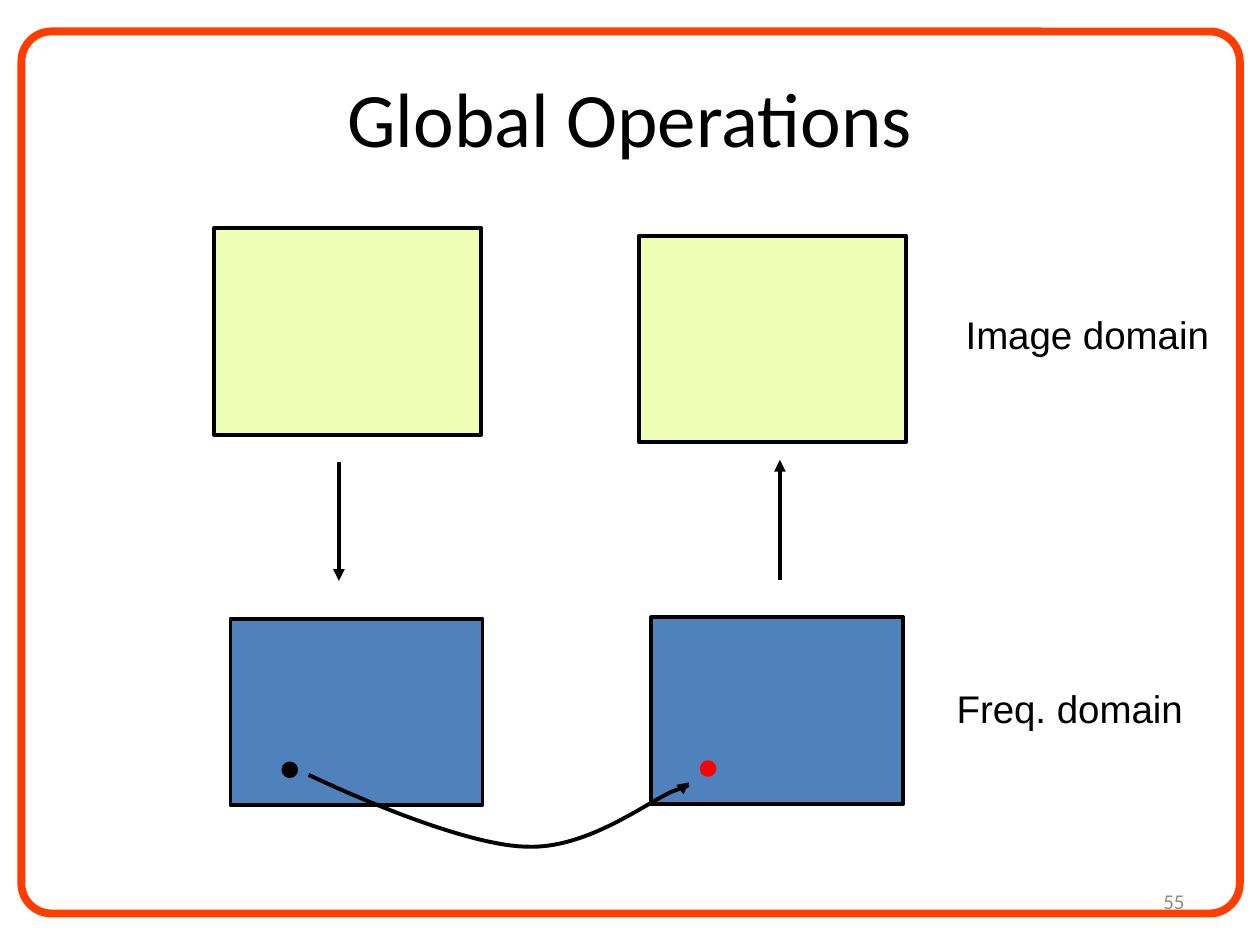
from dataclasses import dataclass

from lxml.etree import SubElement
from pptx import Presentation
from pptx.dml.color import RGBColor
from pptx.enum.shapes import MSO_CONNECTOR, MSO_SHAPE
from pptx.enum.text import MSO_ANCHOR, PP_ALIGN as Align
from pptx.oxml.ns import qn
from pptx.util import Inches, Pt


@dataclass(frozen=True)
class Theme:
    black: RGBColor = RGBColor(0, 0, 0)
    red: RGBColor = RGBColor(0xFF, 0, 0)
    gray: RGBColor = RGBColor(0x8C, 0x8C, 0x8C)
    frame: RGBColor = RGBColor(0xFF, 0x3D, 0x01)
    image: RGBColor = RGBColor(0xEF, 0xFD, 0xB5)
    frequency: RGBColor = RGBColor(0x4F, 0x81, 0xBD)
    title_size: Pt = Pt(44)
    label_size: Pt = Pt(22)
    number_size: Pt = Pt(12)
    line_width: Pt = Pt(2.25)
    frame_width: Pt = Pt(4.5)


theme = Theme()
presentation = Presentation()
presentation.slide_width = Inches(10)
presentation.slide_height = Inches(7.5)
slide = presentation.slides.add_slide(presentation.slide_layouts[6])


def add_box(kind, box, fill=None, line=theme.black, width=theme.line_width):
    shape = slide.shapes.add_shape(kind, *map(Inches, box))
    shape.shadow.inherit = False
    if fill is None:
        shape.fill.background()
    else:
        shape.fill.solid()
        shape.fill.fore_color.rgb = fill
    shape.line.color.rgb = line
    shape.line.width = width
    return shape


def style_arrow(arrow):
    arrow.line.color.rgb = theme.black
    arrow.line.width = theme.line_width
    SubElement(arrow.line._get_or_add_ln(), qn("a:tailEnd"), type="triangle")
    SubElement(arrow._element.spPr, qn("a:effectLst"))


# Frame
frame = add_box(MSO_SHAPE.ROUNDED_RECTANGLE, (0.17, 0.25, 9.67, 7),
                line=theme.frame, width=theme.frame_width)
frame.adjustments[0] = 0.034

# Title, slide number and domain labels
texts = [
    ("Global Operations", (0.5, 0.3, 9, 1.25), "Calibri", theme.title_size,
     theme.black, Align.CENTER, MSO_ANCHOR.MIDDLE, True),
    ("55", (7.17, 6.95, 2.33, 0.4), "Calibri", theme.number_size,
     theme.gray, Align.RIGHT, MSO_ANCHOR.MIDDLE, True),
    ("Image domain", (7.55, 2.42, 2.16, 0.47), "Arial", theme.label_size,
     theme.black, Align.CENTER, MSO_ANCHOR.TOP, False),
    ("Freq. domain", (7.48, 5.39, 2.02, 0.47), "Arial", theme.label_size,
     theme.black, Align.CENTER, MSO_ANCHOR.TOP, False),
]
for text, box, font_name, size, color, alignment, anchor, wrap in texts:
    text_frame = slide.shapes.add_textbox(*map(Inches, box)).text_frame
    text_frame.text = text
    text_frame.word_wrap = wrap
    text_frame.vertical_anchor = anchor
    paragraph = text_frame.paragraphs[0]
    paragraph.alignment = alignment
    font = paragraph.runs[0].font
    font.name, font.size, font.color.rgb = font_name, size, color

# Image and frequency rectangles
for left, top in [(1.7, 1.81), (5.07, 1.87)]:
    add_box(MSO_SHAPE.RECTANGLE, (left, top, 2.12, 1.64), theme.image)
for left, top in [(1.83, 4.91), (5.17, 4.9)]:
    add_box(MSO_SHAPE.RECTANGLE, (left, top, 2, 1.48), theme.frequency)

# Frequency points
for left, top, color in [(2.25, 6.06, theme.black), (5.57, 6.05, theme.red)]:
    add_box(MSO_SHAPE.OVAL, (left, top, 0.1, 0.1), color, color)

# Transform down, inverse transform up
for x, start, end in [(2.69, 3.67, 4.61), (6.19, 4.6, 3.65)]:
    style_arrow(slide.shapes.add_connector(
        MSO_CONNECTOR.STRAIGHT, *map(Inches, (x, start, x, end))))

# Curved arrow between the points: two control points and an end per segment
curve_start = (2.45, 6.15)
segments = [
    [(2.7, 6.27), (3.67, 6.71), (4.18, 6.72)],
    [(4.66, 6.74), (5.13, 6.37), (5.34, 6.28)],
    [(5.56, 6.2), (5.45, 6.22), (5.47, 6.21)],
]
builder = slide.shapes.build_freeform(*map(Inches, curve_start))
builder.add_line_segments(
    [(Inches(x), Inches(y)) for *_, (x, y) in segments], close=False)
curve = builder.convert_to_shape()
curve.fill.background()
straight_parts = list(curve._element.iter(qn("a:lnTo")))
for part, points in zip(straight_parts, segments):
    part.tag = qn("a:cubicBezTo")
    part.clear()
    for x, y in points:
        SubElement(part, qn("a:pt"), x=str(Inches(x) - curve.left),
                   y=str(Inches(y) - curve.top))
style_arrow(curve)

presentation.save("out.pptx")
